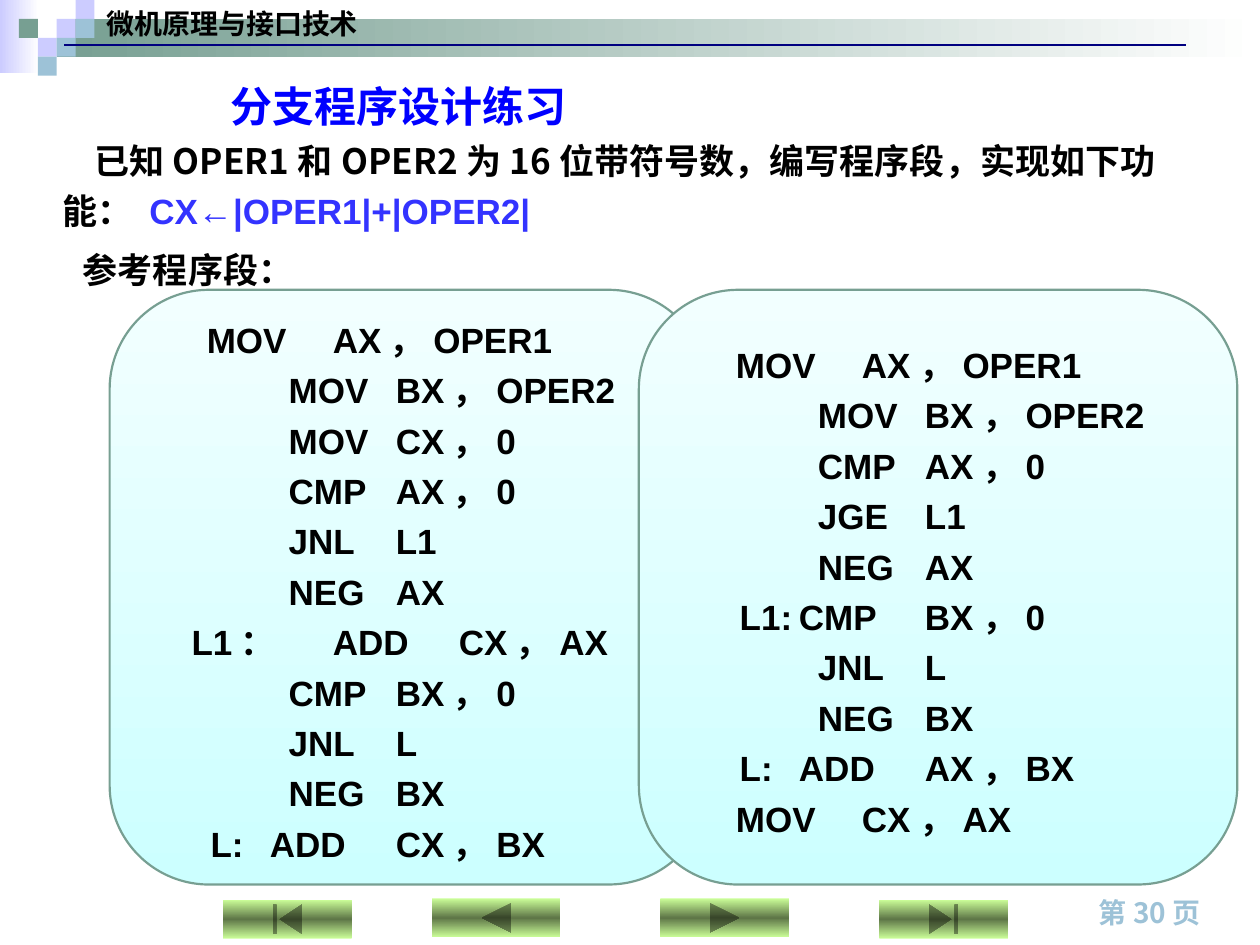
"""Build the slide on branch program practice."""
from copy import deepcopy
from typing import NamedTuple

from pptx import Presentation
from pptx.dml.color import RGBColor
from pptx.enum import shapes, text
from pptx.oxml import ns
from pptx.oxml.xmlchemy import OxmlElement
from pptx.util import Inches, Pt

HUES = {"lilac": "CCCCFF", "sage": "779F92", "sky": "9DC2D7", "white": "FFFFFF",
        "black": "000000", "navy": "000080", "blue": "0000FF", "iris": "3333FF",
        "lime": "CCFF99", "moss": "5E7647", "pale": "F2FFFF", "aqua": "CCFFFF"}
HAN, LATIN = "Noto Sans CJK SC", "Arial"
KIND = shapes.MSO_SHAPE


class Box(NamedTuple):
    left: float
    top: float
    width: float
    height: float


class Span(NamedTuple):
    words: str
    size: int = 20
    hue: str = "black"
    font: str = HAN


class Para(NamedTuple):
    spans: list[Span]
    indent: float = 0
    tabs: tuple[float, ...] = ()


class Code(NamedTuple):
    op: str
    args: str
    label: str = ""
    start: float = 1.15

    def para(self) -> Para:
        """Lay the label, operation and operands on tab stops."""
        words = f"{self.op}\t{self.args}"
        tabs = (self.start + 0.86,)
        indent = self.start
        if self.label:
            words = f"{self.label}\t{words}"
            tabs = (1.18, 2.04)
        return Para([Span(words, font=LATIN)], indent, tabs)


LEFT = [Code("MOV", "AX，OPER1", start=0.5), Code("MOV", "BX，OPER2"),
        Code("MOV", "CX，0"), Code("CMP", "AX，0"), Code("JNL", "L1"),
        Code("NEG", "AX"), Code("ADD", "CX，AX", "L1：", 0.38),
        Code("CMP", "BX，0"), Code("JNL", "L"), Code("NEG", "BX"),
        Code("ADD", "CX，BX", "L:", 0.53)]
RIGHT = [Code("MOV", "AX，OPER1", start=0.5), Code("MOV", "BX，OPER2"),
         Code("CMP", "AX，0"), Code("JGE", "L1"), Code("NEG", "AX"),
         Code("CMP", "BX，0", "L1:", 0.53), Code("JNL", "L"),
         Code("NEG", "BX"), Code("ADD", "AX，BX", "L:", 0.53),
         Code("MOV", "CX，AX", start=0.5)]


def color(hue: str) -> RGBColor:
    """Look up a colour by name."""
    return RGBColor.from_string(HUES[hue])


def place(box: Box) -> list[Inches]:
    """Turn a box into lengths."""
    return [Inches(side) for side in box]


def write(frame, paras: list[Para], lead: float = 1.2) -> None:
    """Fill a text frame with formatted paragraphs."""
    frame.word_wrap = True
    for num, para in enumerate(paras):
        line = frame.add_paragraph() if num else frame.paragraphs[0]
        line.alignment = text.PP_ALIGN.LEFT
        line.line_spacing = lead
        props = line._p.get_or_add_pPr()
        props.set("marL", "0")
        props.set("indent", str(Inches(para.indent)))
        if para.tabs:
            stops = OxmlElement("a:tabLst")
            for pos in para.tabs:
                stop = OxmlElement("a:tab")
                stop.set("pos", str(Inches(pos)))
                stop.set("algn", "l")
                stops.append(stop)
            props.append(stops)
        for span in para.spans:
            run = line.add_run()
            run.text = span.words
            run.font.size = Pt(span.size)
            run.font.bold = True
            run.font.name = span.font
            run.font.color.rgb = color(span.hue)
            east = OxmlElement("a:ea")
            east.set("typeface", HAN)
            run.font._element.find(ns.qn("a:latin")).addnext(east)


def label(slide, box: Box, paras: list[Para], lead: float = 1.2) -> None:
    """Add a text box."""
    write(slide.shapes.add_textbox(*place(box)).text_frame, paras, lead)


def block(slide, kind: KIND, box: Box, hues: list[str], angle: int = 0):
    """Add a shape with a plain or gradient fill and no line."""
    shape = slide.shapes.add_shape(kind, *place(box))
    shape.shadow.inherit = False
    shape.line.fill.background()
    fill = shape.fill
    if len(hues) == 1:
        fill.solid()
        fill.fore_color.rgb = color(hues[0])
        return shape
    fill.gradient()
    fill.gradient_angle = -angle % 360
    stops = shape._element.spPr.find(".//" + ns.qn("a:gsLst"))
    while len(stops) < len(hues):
        stops.append(deepcopy(stops[0]))
    for num, (stop, hue) in enumerate(zip(fill.gradient_stops, hues)):
        stop.position = num / (len(hues) - 1)
        stop.color.rgb = color(hue)
    return shape


def panel(slide, left: float, codes: list[Code]) -> None:
    """Add a rounded panel holding a program."""
    shape = block(slide, KIND.ROUNDED_RECTANGLE, Box(left, 2.3, 4.75, 4.72),
                  ["pale", "aqua"], 90)
    shape.adjustments[0] = 0.167
    shape.line.color.rgb = color("sage")
    shape.line.width = Pt(1.25)
    frame = shape.text_frame
    frame.margin_left = frame.margin_right = Inches(0.04)
    frame.vertical_anchor = text.MSO_ANCHOR.MIDDLE
    write(frame, [code.para() for code in codes])


def header(slide) -> None:
    """Draw the top band, its tiles, the course name and the rule."""
    block(slide, KIND.RECTANGLE, Box(0, 0, 0.31, 0.58), ["lilac", "white"])
    block(slide, KIND.RECTANGLE, Box(0.45, 0.15, 9.55, 0.3), ["sage", "white"])
    for col, row, hue in [(3, 1, "lilac"), (4, 0, "lilac"), (4, 1, "sky"),
                          (2, 2, "lilac"), (1, 1, "sage"), (3, 2, "sky"),
                          (2, 3, "sky")]:
        tile = Box(col * 0.15, row * 0.15, 0.15, 0.15)
        block(slide, KIND.RECTANGLE, tile, [hue])
    label(slide, Box(0.75, 0, 8.66, 0.37),
          [Para([Span("微机原理与接口技术", 16)])], 1.0)
    ends = place(Box(0.51, 0.36, 9.41, 0.36))
    rule = slide.shapes.add_connector(shapes.MSO_CONNECTOR.STRAIGHT, *ends)
    rule.line.color.rgb = color("navy")
    rule.line.width = Pt(1.25)
    rule._element.spPr.append(OxmlElement("a:effectLst"))


def footer(slide) -> None:
    """Draw the page number and the navigation buttons."""
    label(slide, Box(8.62, 7.06, 1.26, 0.37),
          [Para([Span("第30页", 16, "sky")])], 1.0)
    for kind, left, top in [(KIND.ACTION_BUTTON_FORWARD_OR_NEXT, 5.24, 7.13),
                            (KIND.ACTION_BUTTON_BACK_OR_PREVIOUS, 3.43, 7.13),
                            (KIND.ACTION_BUTTON_END, 6.98, 7.14),
                            (KIND.ACTION_BUTTON_BEGINNING, 1.77, 7.14)]:
        block(slide, kind, Box(left, top, 1.02, 0.31), ["lime", "moss", "lime"], 90)


def main() -> None:
    """Build and save the slide."""
    deck = Presentation()
    deck.slide_width, deck.slide_height = Inches(10), Inches(7.5)
    slide = deck.slides.add_slide(deck.slide_layouts[6])
    header(slide)
    footer(slide)
    task = "已知OPER1和OPER2为16位带符号数，编写程序段，实现如下功能： "
    label(slide, Box(0.4, 0.51, 8.99, 1.8), [
        Para([Span("分支程序设计练习", 24, "blue")], 1.33),
        Para([Span(task), Span("CX←|OPER1|+|OPER2|", 20, "iris", LATIN)], 0.25)])
    label(slide, Box(0.56, 1.86, 8.67, 0.91), [Para([Span("参考程序段：")])])
    panel(slide, 0.87, LEFT)
    panel(slide, 5.07, RIGHT)
    deck.save("out.pptx")


if __name__ == "__main__":
    main()
